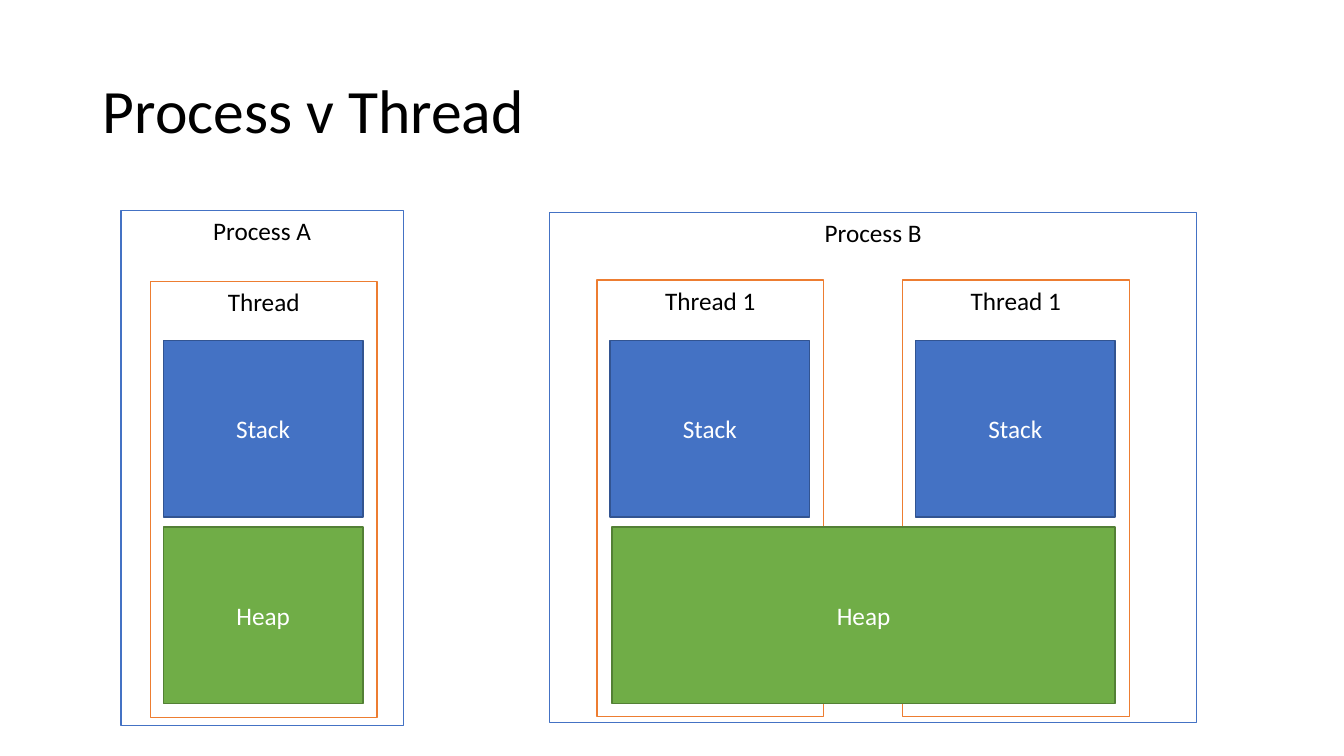
import pptx
import pptx.util
import pptx.dml.color
import pptx.enum.shapes
import pptx.enum.text
from pptx.util import Inches

ALIGN = pptx.enum.text.PP_ALIGN
ANCHOR = pptx.enum.text.MSO_ANCHOR

# Theme: (fill, line, text, anchor) for each kind of box
THEME = {
    "font": "Calibri",
    "title_size": 44,
    "label_size": 18,
    "title_color": "000000",
    "process": ("FFFFFF", "4472C4", "000000", ANCHOR.TOP),
    "thread": ("FFFFFF", "ED7D31", "000000", ANCHOR.TOP),
    "stack": ("4472C4", "325491", "FFFFFF", ANCHOR.MIDDLE),
    "heap": ("70AD47", "538035", "FFFFFF", ANCHOR.MIDDLE),
}


def write(frame, text, size, color, align, anchor):
    frame.text = text
    frame.word_wrap = True
    frame.vertical_anchor = anchor
    para = frame.paragraphs[0]
    para.alignment = align
    span = para.runs[0]
    values = {"name": THEME["font"], "size": pptx.util.Pt(size)}
    for name, value in values.items():
        setattr(span.font, name, value)
    span.font.color.rgb = pptx.dml.color.RGBColor.from_string(color)
    return para


def add_box(kind, text, left, top, width, height):
    fill, line, color, anchor = THEME[kind]
    box = page.shapes.add_shape(
        pptx.enum.shapes.MSO_SHAPE.RECTANGLE,
        Inches(left), Inches(top), Inches(width), Inches(height))
    box.shadow.inherit = False
    box.fill.solid()
    box.fill.fore_color.rgb = pptx.dml.color.RGBColor.from_string(fill)
    box.line.color.rgb = pptx.dml.color.RGBColor.from_string(line)
    box.line.width = pptx.util.Pt(1)
    write(box.text_frame, text, THEME["label_size"], color, ALIGN.CENTER, anchor)


deck = pptx.Presentation()
deck.slide_width, deck.slide_height = Inches(13.33), Inches(7.5)
page = deck.slides.add_slide(deck.slide_layouts[5])

# Title
title = page.shapes.title
place = {"left": 0.92, "top": 0.4, "width": 11.5, "height": 1.45}
for name, value in place.items():
    setattr(title, name, Inches(value))
para = write(title.text_frame, "Process v Thread", THEME["title_size"],
             THEME["title_color"], ALIGN.LEFT, ANCHOR.MIDDLE)
para.line_spacing = 0.9

# Processes: name, frame, threads (name, left, top), heap (left, width)
processes = [
    ("Process A", (1.2, 2.09, 2.8, 5.11), [("Thread", 1.49, 2.79)], (1.62, 1.98)),
    ("Process B", (5.45, 2.11, 6.42, 5.06),
     [("Thread 1", 8.95, 2.78), ("Thread 1", 5.92, 2.78)], (6.07, 4.99)),
]
stack_inset = 0.13
for process, frame, threads, (heap_left, heap_width) in processes:
    add_box("process", process, *frame)
    # Each thread has its own stack
    for thread, left, top in threads:
        add_box("thread", thread, left, top, 2.25, 4.33)
        add_box("stack", "Stack", left + stack_inset, 3.38, 1.98, 1.75)
    # The threads of a process share one heap
    add_box("heap", "Heap", heap_left, 5.23, heap_width, 1.75)

deck.save("out.pptx")
